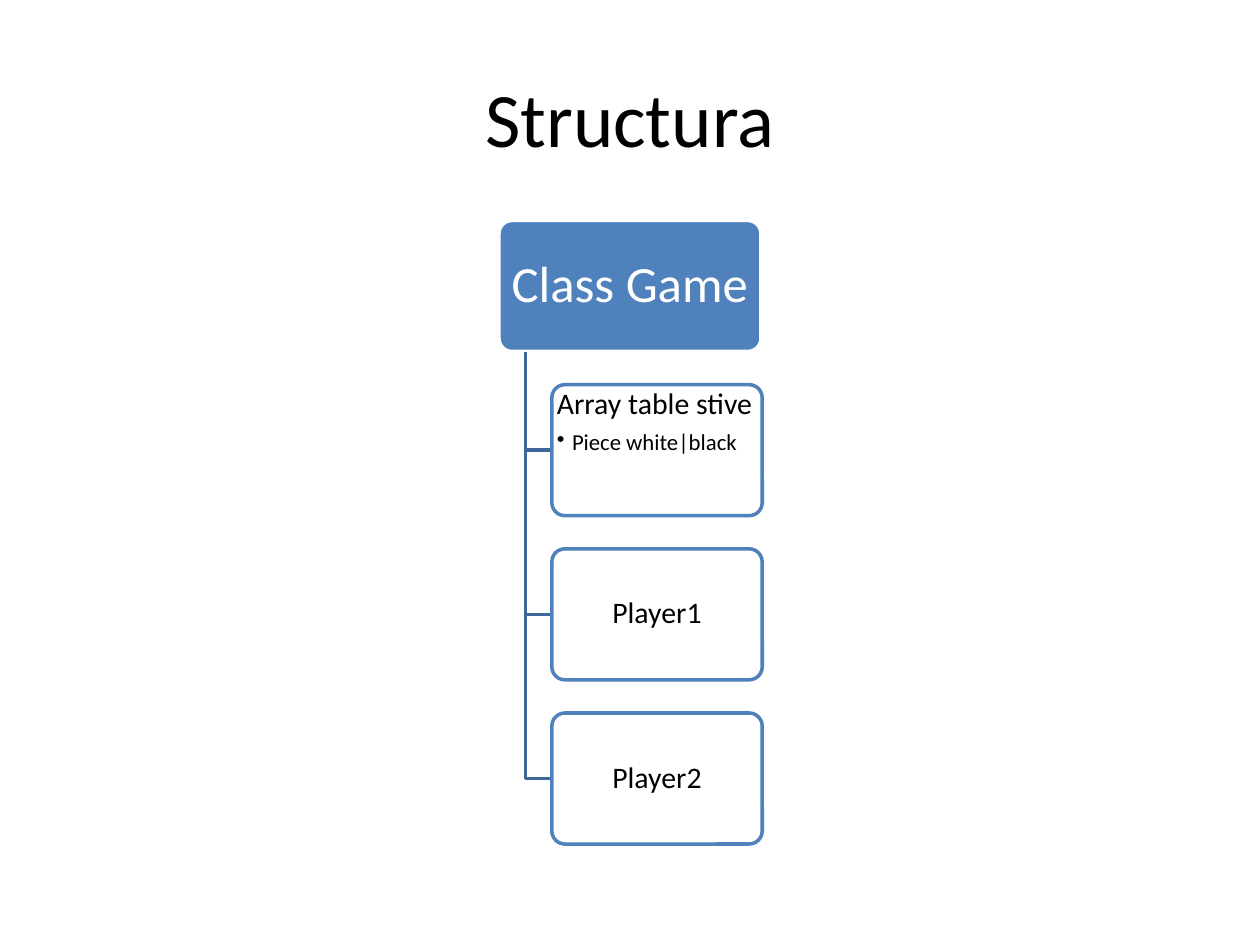
from dataclasses import dataclass

import lxml.etree
import pptx
import pptx.dml.color
import pptx.enum.shapes
import pptx.enum.text
import pptx.oxml.ns
import pptx.util
from pptx.util import Inches, Pt

FONT = "Calibri"
COLORS = {
    "blue": "4F81BD",
    "dark": "3F6797",
    "white": "FFFFFF",
    "black": "000000",
}
ALIGN = pptx.enum.text.PP_ALIGN
ANCHOR = pptx.enum.text.MSO_ANCHOR
TOP = 1.75
HIGH = 1.04
STEP = 1.303
STEM = 4.17
LEFT = 4.38


@dataclass
class Box:
    text: str
    left: float
    top: float
    width: float
    size: int
    fill: str
    line: str
    ink: str
    inset: tuple[float, float]
    bullet: str = ""


def color(name: str) -> pptx.dml.color.RGBColor:
    return pptx.dml.color.RGBColor.from_string(COLORS[name])


def style(par, size: int, ink: str, align) -> None:
    par.font.name = FONT
    par.font.size = Pt(size)
    par.font.color.rgb = color(ink)
    par.alignment = align
    par.line_spacing = 0.9


def add_bullet(frame, box: Box) -> None:
    frame.paragraphs[0].space_after = Pt(6)
    par = frame.add_paragraph()
    par.text = box.bullet
    par.level = 1
    style(par, 13, box.ink, ALIGN.LEFT)
    props = par._p.get_or_add_pPr()
    props.set("marL", str(Inches(0.12)))
    props.set("indent", str(Inches(-0.12)))
    mark = lxml.etree.SubElement(props, pptx.oxml.ns.qn("a:buChar"))
    mark.set("char", "•")


def draw_box(slide, box: Box) -> None:
    shape = slide.shapes.add_shape(
        pptx.enum.shapes.MSO_SHAPE.ROUNDED_RECTANGLE,
        Inches(box.left), Inches(box.top), Inches(box.width), Inches(HIGH),
    )
    shape.adjustments[0] = 0.1
    shape.shadow.inherit = False
    shape.fill.solid()
    shape.fill.fore_color.rgb = color(box.fill)
    shape.line.color.rgb = color(box.line)
    shape.line.width = Pt(2)
    frame = shape.text_frame
    frame.word_wrap = True
    side, edge = box.inset
    frame.margin_left = frame.margin_right = Inches(side)
    frame.margin_top = frame.margin_bottom = Inches(edge)
    frame.vertical_anchor = ANCHOR.TOP if box.bullet else ANCHOR.MIDDLE
    frame.text = box.text
    align = ALIGN.LEFT if box.bullet else ALIGN.CENTER
    style(frame.paragraphs[0], box.size, box.ink, align)
    if box.bullet:
        add_bullet(frame, box)


def draw_branch(slide, end: float) -> None:
    build = slide.shapes.build_freeform(Inches(STEM), Inches(TOP + HIGH))
    build.add_line_segments(
        [(Inches(STEM), Inches(end)), (Inches(LEFT), Inches(end))], close=False
    )
    shape = build.convert_to_shape()
    shape.shadow.inherit = False
    shape.fill.background()
    shape.line.color.rgb = color("dark")
    shape.line.width = Pt(2)


def main() -> None:
    deck = pptx.Presentation()
    deck.slide_width, deck.slide_height = Inches(10), Inches(7.5)
    slide = deck.slides.add_slide(deck.slide_layouts[5])

    title = slide.shapes.title
    title.left, title.top = Inches(0.5), Inches(0.3)
    title.width, title.height = Inches(9), Inches(1.25)
    title.text_frame.text = "Structura"
    title.text_frame.vertical_anchor = ANCHOR.MIDDLE
    style(title.text_frame.paragraphs[0], 44, "black", ALIGN.CENTER)
    title.text_frame.paragraphs[0].line_spacing = 1.0

    draw_box(slide, Box("Class Game", 3.96, TOP, 2.08, 29,
                        "blue", "white", "white", (0.03, 0.01)))
    parts = [
        ("Array table stive", "Piece white|black"),
        ("Player1", ""),
        ("Player2", ""),
    ]
    for row, (text, bullet) in enumerate(parts, 1):
        top = TOP + row * STEP
        draw_branch(slide, top + HIGH / 2)
        draw_box(slide, Box(text, LEFT, top, 1.67, 17,
                            "white", "blue", "black", (0.01, 0), bullet))

    deck.save("out.pptx")


if __name__ == "__main__":
    main()
